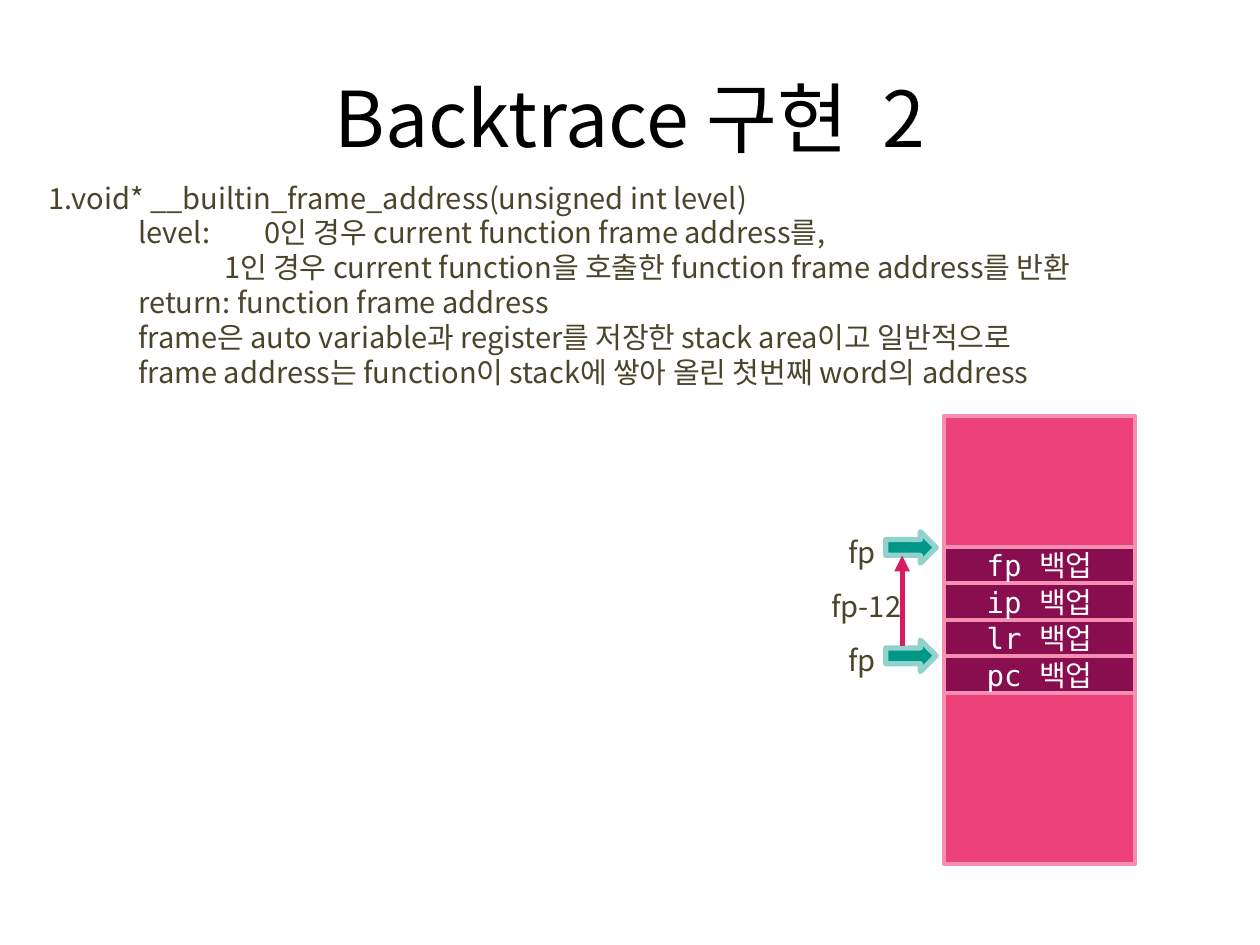
import pptx
import pptx.util
from lxml import etree
from pptx.dml.color import RGBColor
from pptx.enum.shapes import MSO_CONNECTOR, MSO_SHAPE
from pptx.enum.text import MSO_ANCHOR, PP_ALIGN
from pptx.oxml.ns import qn
from pptx.util import Inches, Pt

BLACK = RGBColor(0x00, 0x00, 0x00)
WHITE = RGBColor(0xFF, 0xFF, 0xFF)
OLIVE = RGBColor(0x4A, 0x45, 0x2A)
PINK = RGBColor(0xEC, 0x40, 0x7A)
LIGHT_PINK = RGBColor(0xF4, 0x8F, 0xB1)
DARK_PINK = RGBColor(0x88, 0x0E, 0x4F)
RED = RGBColor(0xD8, 0x1B, 0x60)
TEAL = RGBColor(0x00, 0x96, 0x88)
LIGHT_TEAL = RGBColor(0x92, 0xD2, 0xCC)
SANS, MONO = "Noto Sans CJK KR", "DejaVu Sans Mono"

TITLE = "Backtrace 구현  2"
BODY_INDENT, LEVEL_INDENT = 0.71, 1.39
# Text and left indent in inches
DESCRIPTION = [
    ("1.void* __builtin_frame_address(unsigned int level)", 0),
    ("level:\t0인 경우 current function frame address를,", BODY_INDENT),
    ("1인 경우 current function을 호출한 function frame address를 반환", LEVEL_INDENT),
    ("return: function frame address", BODY_INDENT),
    ("frame은 auto variable과 register를 저장한 stack area이고 일반적으로", BODY_INDENT),
    ("frame address는 function이 stack에 쌓아 올린 첫번째 word의 address", BODY_INDENT),
]
SAVED_REGISTERS = ["fp 백업", "ip 백업", "lr 백업", "pc 백업"]
STACK_LEFT, STACK_WIDTH = 7.49, 1.52
FRAME_TOP, WORD_HEIGHT = 4.34, 0.29
POINTER_TOPS = [4.22, 5.08]


def write(paragraph, text, color, name=SANS, size=16.6, alignment=PP_ALIGN.LEFT):
    paragraph.alignment = alignment
    paragraph.text = text
    for run in paragraph.runs:
        for attribute, value in {"name": name, "size": Pt(size)}.items():
            setattr(run.font, attribute, value)
        run.font.color.rgb = color
        east_asian = etree.SubElement(run.font._element, qn("a:ea"))
        east_asian.set("typeface", name)


def add_text_box(slide, bounds, wrap=True):
    frame = slide.shapes.add_textbox(*map(Inches, bounds)).text_frame
    frame.word_wrap = wrap
    return frame


def add_block(slide, kind, bounds, fill, line, line_width):
    shape = slide.shapes.add_shape(kind, *map(Inches, bounds))
    shape.shadow.inherit = False
    shape.fill.solid()
    shape.fill.fore_color.rgb = fill
    shape.line.color.rgb = line
    shape.line.width = Pt(line_width)
    return shape


def add_description(slide):
    frame = add_text_box(slide, (0.29, 1.38, 9.44, 2.06))
    for index, (text, indent) in enumerate(DESCRIPTION):
        paragraph = frame.paragraphs[0] if index == 0 else frame.add_paragraph()
        properties = paragraph._p.get_or_add_pPr()
        properties.set("marL", str(Inches(indent)))
        properties.set("indent", "0")
        if "\t" in text:
            tabs = etree.SubElement(properties, qn("a:tabLst"))
            etree.SubElement(tabs, qn("a:tab"), pos=str(Inches(LEVEL_INDENT)), algn="l")
        write(paragraph, text, OLIVE)


def add_stack(slide):
    add_block(slide, MSO_SHAPE.RECTANGLE, (STACK_LEFT, 3.3, STACK_WIDTH, 3.56),
              PINK, LIGHT_PINK, 2.25)
    for index, label in reversed(list(enumerate(SAVED_REGISTERS))):
        top = FRAME_TOP + index * WORD_HEIGHT
        word = add_block(slide, MSO_SHAPE.RECTANGLE,
                         (STACK_LEFT, top, STACK_WIDTH, WORD_HEIGHT),
                         DARK_PINK, LIGHT_PINK, 2.25)
        word.text_frame.vertical_anchor = MSO_ANCHOR.MIDDLE
        write(word.text_frame.paragraphs[0], label, WHITE, MONO, alignment=PP_ALIGN.CENTER)


def add_pointers(slide):
    for top in POINTER_TOPS:
        add_block(slide, MSO_SHAPE.RIGHT_ARROW, (7.03, top, 0.4, 0.25), TEAL, LIGHT_TEAL, 3)
        frame = add_text_box(slide, (6.63, top - 0.03, 0.42, 0.38), wrap=False)
        write(frame.paragraphs[0], "fp", OLIVE, alignment=PP_ALIGN.CENTER)

    offset = slide.shapes.add_connector(
        MSO_CONNECTOR.STRAIGHT, *map(Inches, (7.16, 5.13, 7.16, 4.41)))
    offset.line.color.rgb = RED
    offset.line.width = Pt(3)
    etree.SubElement(offset.line._get_or_add_ln(), qn("a:tailEnd"), type="triangle")
    etree.SubElement(offset._element.spPr, qn("a:effectLst"))
    frame = add_text_box(slide, (6.5, 4.62, 0.77, 0.38), wrap=False)
    write(frame.paragraphs[0], "fp-12", OLIVE)


def main():
    presentation = pptx.Presentation()
    presentation.slide_width, presentation.slide_height = Inches(10), Inches(7.5)
    slide = presentation.slides.add_slide(presentation.slide_layouts[6])
    title = add_text_box(slide, (0.5, 0.3, 9, 1.25))
    title.vertical_anchor = MSO_ANCHOR.MIDDLE
    write(title.paragraphs[0], TITLE, BLACK, size=44, alignment=PP_ALIGN.CENTER)
    add_description(slide)
    add_stack(slide)
    add_pointers(slide)
    presentation.save("out.pptx")


if __name__ == "__main__":
    main()
